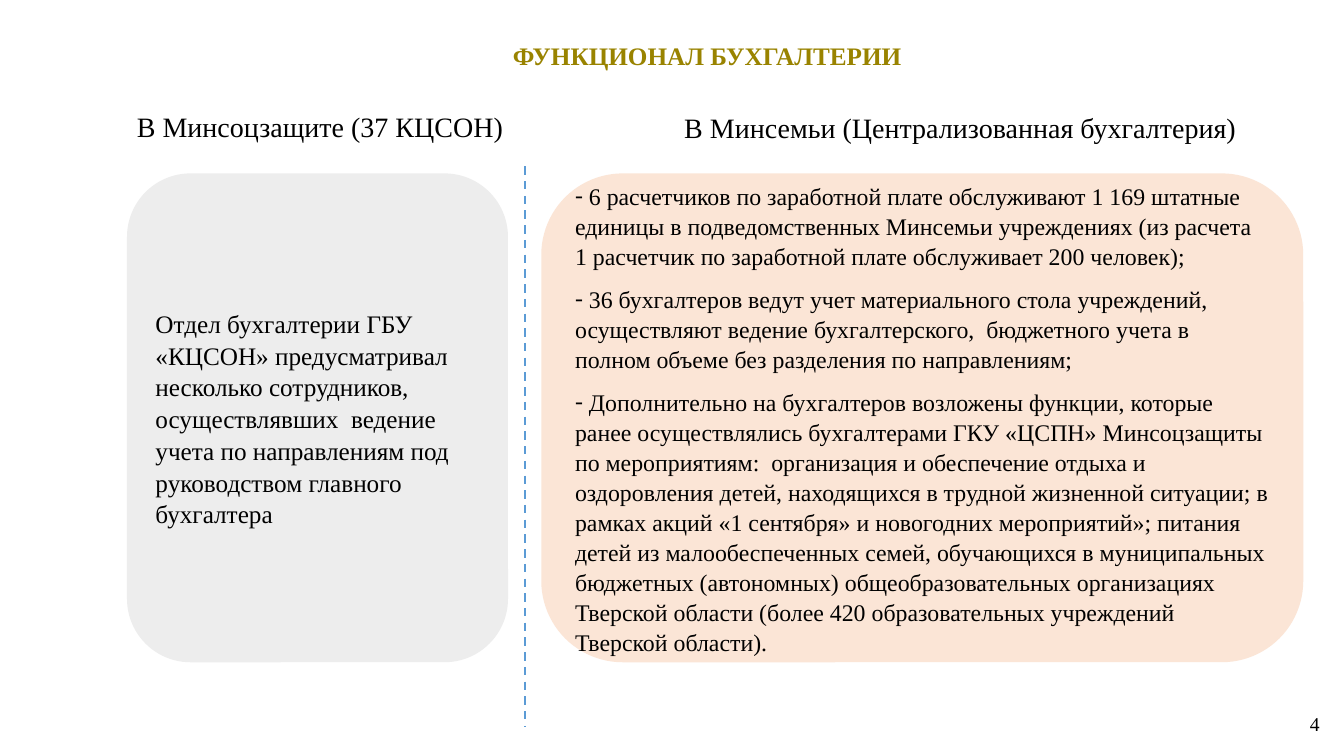
import pptx
import pptx.util
import pptx.dml.color
import pptx.enum.dml
import pptx.enum.shapes
import pptx.enum.text
import pptx.oxml.ns
import lxml.etree

Pt = pptx.util.Pt
RGBColor = pptx.dml.color.RGBColor
ALIGN = pptx.enum.text.PP_ALIGN
ANCHOR = pptx.enum.text.MSO_ANCHOR

FONT = "Times New Roman"
BLACK = RGBColor(0x00, 0x00, 0x00)
OLIVE = RGBColor(0x99, 0x83, 0x00)
GREY = RGBColor(0xED, 0xED, 0xED)
PEACH = RGBColor(0xFB, 0xE5, 0xD6)
BLUE = RGBColor(0x5B, 0x9B, 0xD5)

PANEL_TOP = 123.84
PANEL_HEIGHT = 349.2
DIVIDER_X = 375.12

MINISTRY_TEXT = [
    "Отдел бухгалтерии ГБУ «КЦСОН» предусматривал несколько сотрудников, "
    "осуществлявших  ведение учета по направлениям под руководством главного бухгалтера",
]
CENTRAL_TEXT = [
    " 6 расчетчиков по заработной плате обслуживают 1 169 штатные единицы "
    "в подведомственных Минсемьи учреждениях (из расчета 1 расчетчик "
    "по заработной плате обслуживает 200 человек);",
    " 36 бухгалтеров ведут учет материального стола учреждений, осуществляют "
    "ведение бухгалтерского,  бюджетного учета в  полном объеме без разделения "
    "по направлениям;",
    " Дополнительно на бухгалтеров возложены функции, которые  ранее осуществлялись "
    "бухгалтерами ГКУ «ЦСПН» Минсоцзащиты по мероприятиям:  организация и обеспечение "
    "отдыха и оздоровления детей, находящихся в трудной жизненной ситуации; в рамках "
    "акций «1 сентября» и новогодних мероприятий»; питания детей из малообеспеченных "
    "семей, обучающихся в муниципальных бюджетных (автономных) общеобразовательных "
    "организациях Тверской области (более 420 образовательных учреждений Тверской области).",
]


def add_bullet(paragraph, character):
    properties = paragraph._p.get_or_add_pPr()
    properties.set("marL", "0")
    properties.set("indent", "0")
    font = lxml.etree.SubElement(properties, pptx.oxml.ns.qn("a:buFont"))
    font.set("typeface", FONT)
    bullet = lxml.etree.SubElement(properties, pptx.oxml.ns.qn("a:buChar"))
    bullet.set("char", character)


def write_text(shape, texts, size, color=BLACK, bold=False, align=ALIGN.LEFT,
               anchor=ANCHOR.TOP, wrap=True, spacing=1.0, after=0, bullet=None):
    frame = shape.text_frame
    frame.word_wrap = wrap
    frame.vertical_anchor = anchor
    for index, text in enumerate(texts):
        paragraph = frame.paragraphs[0] if index == 0 else frame.add_paragraph()
        if bullet:
            add_bullet(paragraph, bullet)
        paragraph.alignment = align
        paragraph.line_spacing = spacing
        paragraph.space_before = Pt(0)
        paragraph.space_after = Pt(after)
        run = paragraph.add_run()
        run.text = text
        run.font.name = FONT
        run.font.size = Pt(size)
        run.font.bold = bold
        run.font.color.rgb = color


def add_title(slide, text):
    title = slide.shapes.title
    title.left, title.top = Pt(84.24), Pt(20.88)
    title.width, title.height = Pt(841.68), Pt(39.6)
    write_text(title, [text], 18, color=OLIVE, bold=True, align=ALIGN.CENTER,
               anchor=ANCHOR.MIDDLE, spacing=0.9)


def add_panel(slide, left, width, fill, texts, size, bullet=None):
    panel = slide.shapes.add_shape(
        pptx.enum.shapes.MSO_SHAPE.ROUNDED_RECTANGLE,
        Pt(left), Pt(PANEL_TOP), Pt(width), Pt(PANEL_HEIGHT))
    panel.shadow.inherit = False
    panel.fill.solid()
    panel.fill.fore_color.rgb = fill
    panel.line.fill.background()
    write_text(panel, texts, size, anchor=ANCHOR.MIDDLE, spacing=1.05,
               after=9.3, bullet=bullet)


def add_divider(slide):
    divider = slide.shapes.add_connector(
        pptx.enum.shapes.MSO_CONNECTOR.STRAIGHT,
        Pt(DIVIDER_X), Pt(118.8), Pt(DIVIDER_X), Pt(519.12))
    divider.line.color.rgb = BLUE
    divider.line.width = Pt(1.5)
    divider.line.dash_style = pptx.enum.dml.MSO_LINE.DASH
    lxml.etree.SubElement(divider._element.spPr, pptx.oxml.ns.qn("a:effectLst"))


def add_heading(slide, left, top, width, text):
    heading = slide.shapes.add_textbox(Pt(left), Pt(top), Pt(width), Pt(31.68))
    write_text(heading, [text], 20, wrap=False)
    heading.text_frame.auto_size = pptx.enum.text.MSO_AUTO_SIZE.SHAPE_TO_FIT_TEXT


def add_page_number(slide, text):
    number = slide.shapes.add_textbox(Pt(712.08), Pt(502.56), Pt(237.6), Pt(28.8))
    write_text(number, [text], 14, align=ALIGN.RIGHT, anchor=ANCHOR.MIDDLE)


def main():
    presentation = pptx.Presentation()
    presentation.slide_width = Pt(960)
    presentation.slide_height = Pt(540)
    slide = presentation.slides.add_slide(presentation.slide_layouts[5])
    add_title(slide, "ФУНКЦИОНАЛ БУХГАЛТЕРИИ")
    add_panel(slide, 90.72, 272.16, GREY, MINISTRY_TEXT, 18)
    add_panel(slide, 386.64, 544.32, PEACH, CENTRAL_TEXT, 17, bullet="-")
    add_divider(slide)
    add_heading(slide, 90.72, 74.88, 278.64, "В Минсоцзащите (37 КЦСОН)")
    add_heading(slide, 481.68, 75.6, 412.56, "В Минсемьи (Централизованная бухгалтерия)")
    add_page_number(slide, "4")
    presentation.save("out.pptx")


if __name__ == "__main__":
    main()
